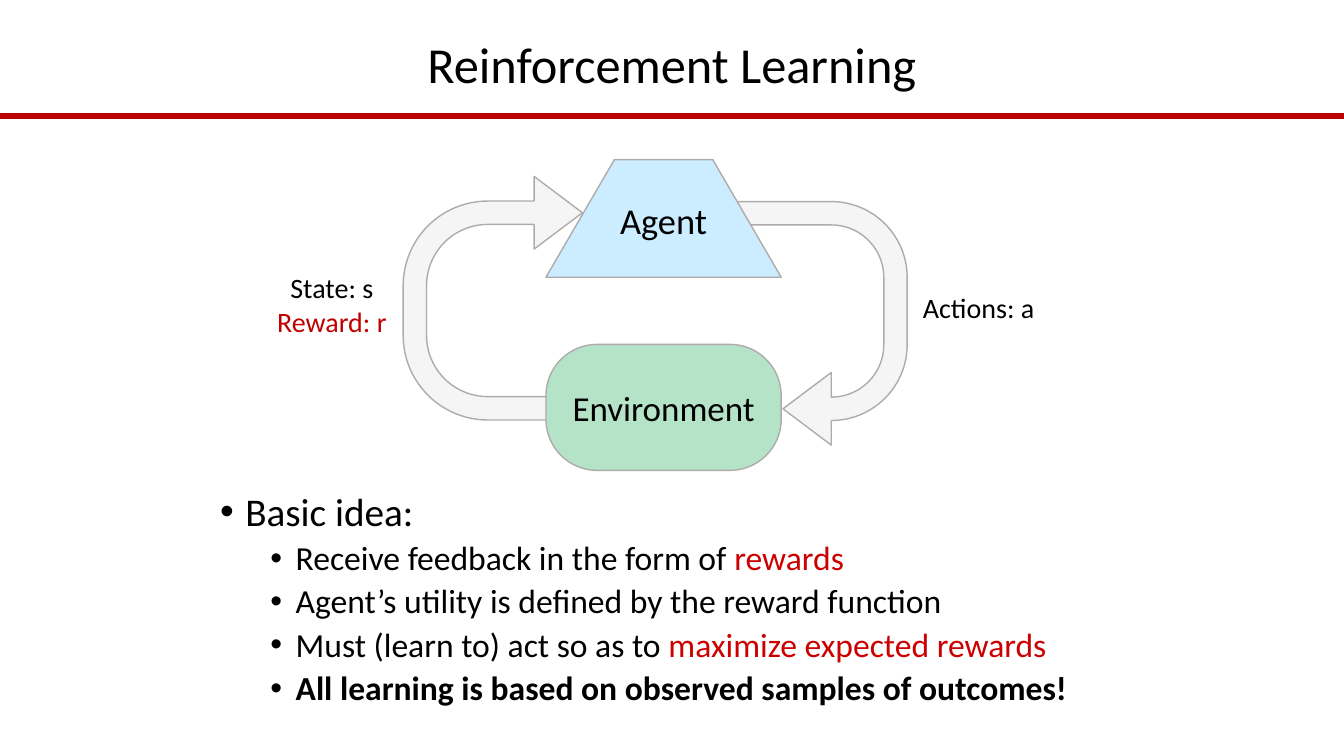
from dataclasses import dataclass

from lxml.etree import SubElement
from pptx import Presentation
from pptx.dml.color import RGBColor
from pptx.enum.shapes import MSO_CONNECTOR as CONN, MSO_SHAPE as SHAPE
from pptx.enum.text import MSO_ANCHOR as ANCHOR, MSO_AUTO_SIZE as FIT, PP_ALIGN as ALIGN
from pptx.oxml.ns import qn
from pptx.util import Pt


@dataclass(frozen=True)
class Theme:
    font: str = "Calibri"
    ink: str = "000000"
    accent: str = "CC0000"
    reward: str = "C00000"
    rule: str = "BB0000"
    outline: str = "AFABAB"
    arrow: str = "F5F5F5"
    agent: str = "CCECFF"
    environment: str = "B5E3C8"
    title_size: int = 36
    list_sizes: tuple = (28, 24)
    agent_size: int = 26
    environment_size: int = 25
    label_size: int = 20


def add_text(p, text, *, size, color, font, bold=False):
    r = p.add_run()
    r.text = text
    r.font.name, r.font.size, r.font.bold = font, Pt(size), bold
    r.font.color.rgb = RGBColor.from_string(color)


class SlideBuilder:
    def __init__(self, slide, theme):
        self.slide, self.theme = slide, theme

    def run(self, p, text, size, color=None, bold=False, align=ALIGN.CENTER):
        p.alignment = align
        add_text(p, text, size=size, color=color or self.theme.ink,
                 font=self.theme.font, bold=bold)

    def place(self, sp, box):
        sp.left, sp.top, sp.width, sp.height = map(Pt, box)

    def title(self, text, box):
        sp = self.slide.shapes.title
        self.place(sp, box)
        tf = sp.text_frame
        tf.auto_size, tf.vertical_anchor = FIT.NONE, ANCHOR.MIDDLE
        p = tf.paragraphs[0]
        p.line_spacing = 0.9
        self.run(p, text, self.theme.title_size)

    def bullets(self, items, box):
        """Each item is a level and its (text, colour, bold) parts."""
        sp = self.slide.placeholders[1]
        self.place(sp, box)
        tf = sp.text_frame
        tf.auto_size, tf.vertical_anchor = FIT.NONE, ANCHOR.TOP
        for i, (level, parts) in enumerate(items):
            p = tf.add_paragraph() if i else tf.paragraphs[0]
            p.level, p.line_spacing = level, 0.9
            p.space_before, p.space_after = Pt(5 if level else 10), Pt(0)
            pPr = p._p.get_or_add_pPr()
            pPr.set("marL", str(Pt(18 + 36 * level)))
            pPr.set("indent", str(-Pt(18)))
            SubElement(pPr, qn("a:buFont")).set("typeface", "Arial")
            SubElement(pPr, qn("a:buChar")).set("char", "•")
            for text, color, bold in parts:
                self.run(p, text, self.theme.list_sizes[level], color, bold, ALIGN.LEFT)

    def rule(self, y, width):
        ln = self.slide.shapes.add_connector(CONN.STRAIGHT, 0, Pt(y), Pt(width), Pt(y))
        ln.line.color.rgb = RGBColor.from_string(self.theme.rule)
        ln.line.width = Pt(4)
        SubElement(ln._element.spPr, qn("a:effectLst"))

    def shape(self, kind, box, fill, adjustments, rotation=0):
        sp = self.slide.shapes.add_shape(kind, *map(Pt, box))
        sp.shadow.inherit = False
        sp.rotation = rotation
        for i, value in enumerate(adjustments):
            sp.adjustments[i] = value
        sp.fill.solid()
        sp.fill.fore_color.rgb = RGBColor.from_string(fill)
        sp.line.color.rgb = RGBColor.from_string(self.theme.outline)
        sp.line.width = Pt(1)
        return sp

    def node(self, kind, box, fill, adjustments, text, size, anchor, top=3.6):
        tf = self.shape(kind, box, fill, adjustments).text_frame
        tf.word_wrap, tf.vertical_anchor = False, anchor
        tf.margin_top = Pt(top)
        self.run(tf.paragraphs[0], text, size)

    def label(self, lines, box):
        tf = self.slide.shapes.add_textbox(*map(Pt, box)).text_frame
        tf.word_wrap, tf.auto_size = True, FIT.SHAPE_TO_FIT_TEXT
        for i, (text, color) in enumerate(lines):
            p = tf.add_paragraph() if i else tf.paragraphs[0]
            self.run(p, text, self.theme.label_size, color)


theme = Theme()
prs = Presentation()
prs.slide_width, prs.slide_height = Pt(960), Pt(540)
s = SlideBuilder(prs.slides.add_slide(prs.slide_layouts[1]), theme)

# Heading
s.rule(82.8, 960)
s.title("Reinforcement Learning", (66, 24.5, 828, 47.5))

# Feedback loop: state and reward go up on the left, actions down on the right
for left, top, rotation, reach in ((270, 144, 270, 0.928), (492, 162, 90, 0.643)):
    s.shape(SHAPE.U_TURN_ARROW, (left, top, 174, 138), theme.arrow,
            (0.121, 0.188, 0.25, 0.438, reach), rotation)

# Agent and environment
s.node(SHAPE.ROUNDED_RECTANGLE, (390, 246, 168, 90), theme.environment, (0.406,),
       "Environment", theme.environment_size, ANCHOR.MIDDLE)
s.node(SHAPE.TRAPEZOID, (390, 114, 168, 84), theme.agent, (0.582,),
       "Agent", theme.agent_size, ANCHOR.TOP, top=11)

# Arrow labels
s.label([("Actions: a", theme.ink)], (636, 204, 126, 31.5))
s.label([("State: s", theme.ink), ("Reward: r", theme.reward)], (174, 190, 126, 55.5))

# Basic idea
s.bullets([
    (0, [("Basic idea:", theme.ink, False)]),
    (1, [("Receive feedback in the form of ", theme.ink, False),
         ("rewards", theme.accent, False)]),
    (1, [("Agent’s utility is defined by the reward function", theme.ink, False)]),
    (1, [("Must (learn to) act so as to ", theme.ink, False),
         ("maximize expected rewards", theme.accent, False)]),
    (1, [("All learning is based on observed samples of outcomes!", theme.ink, True)]),
], (150, 348, 660, 162))

prs.save("out.pptx")
